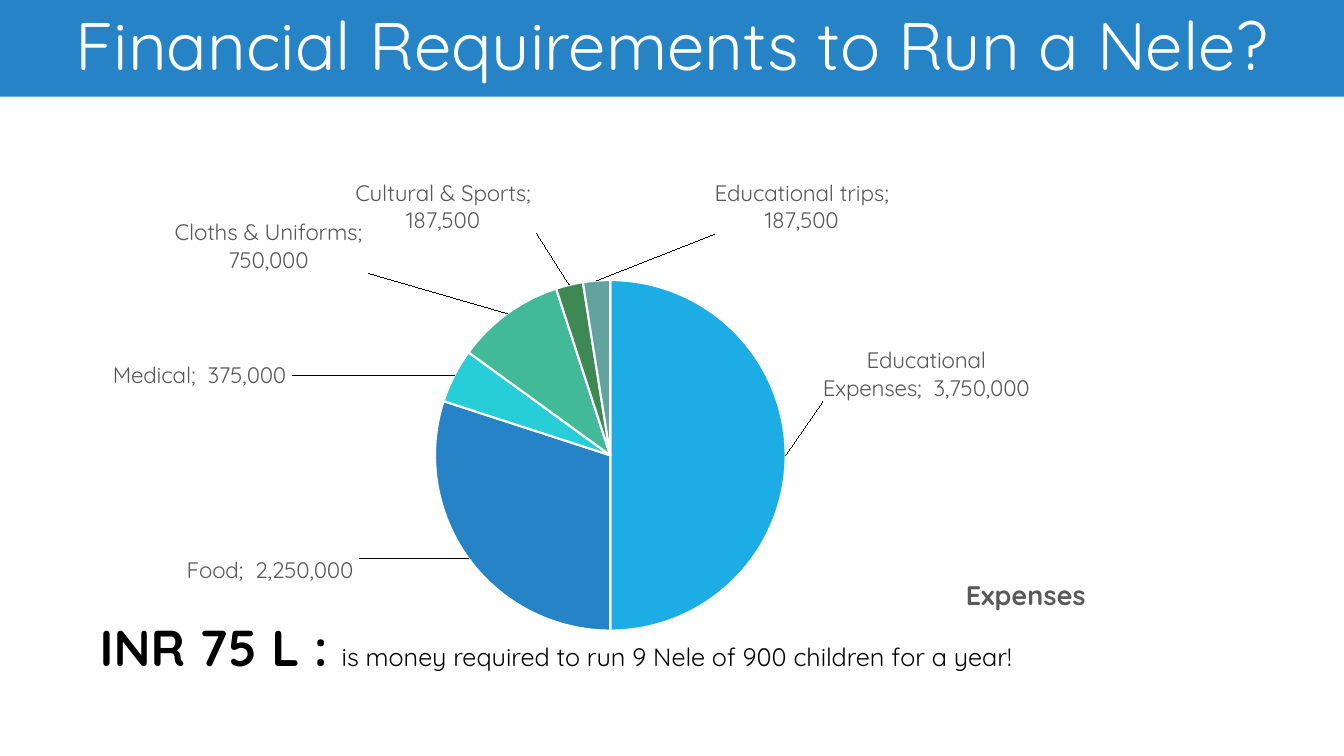
from lxml import etree
from pptx import Presentation
from pptx.chart.data import CategoryChartData
from pptx.dml.color import RGBColor
from pptx.enum.chart import XL_CHART_TYPE, XL_LABEL_POSITION
from pptx.enum.text import MSO_ANCHOR, MSO_AUTO_SIZE, PP_ALIGN
from pptx.oxml.ns import qn
from pptx.util import Inches, Pt

FONT = "Quicksand"
WHITE = RGBColor(0xFF, 0xFF, 0xFF)
BLACK = RGBColor(0x00, 0x00, 0x00)
GREY = RGBColor(0x59, 0x59, 0x59)
BLUE = RGBColor(0x26, 0x83, 0xC6)
SKY = RGBColor(0x1C, 0xAD, 0xE4)
CYAN = RGBColor(0x27, 0xCE, 0xD7)
MINT = RGBColor(0x42, 0xBA, 0x97)
GREEN = RGBColor(0x3E, 0x88, 0x53)
TEAL = RGBColor(0x62, 0xA3, 0x9F)
NUMBER_FORMAT = '_(* #,##0_);_(* \\(#,##0\\);_(* "-"??_);_(@_)'

# Category, amount, slice colour, label shift as a share of the chart size
EXPENSES = [
    ("Educational Expenses", 3750000, SKY, (0.03, -0.16)),
    ("Food", 2250000, BLUE, (-0.1, -0.01)),
    ("Medical", 375000, CYAN, (-0.15, 0.03)),
    ("Cloths & Uniforms", 750000, MINT, (-0.13, -0.07)),
    ("Cultural & Sports", 187500, GREEN, (-0.03, -0.09)),
    ("Educational trips", 187500, TEAL, (0.2, -0.08)),
]


def style(font, size, color, bold=False):
    font.name = FONT
    font.size = Pt(size)
    font.bold = bold
    font.color.rgb = color


def manual_layout(**settings):
    """Return a c:layout element holding the given manual settings, in schema order."""
    layout = etree.Element(qn("c:layout"))
    manual = etree.SubElement(layout, qn("c:manualLayout"))
    for name, value in settings.items():
        etree.SubElement(manual, qn(f"c:{name}")).set("val", str(value))
    return layout


deck = Presentation()
deck.slide_width = Inches(13.33)
deck.slide_height = Inches(7.5)
page = deck.slides.add_slide(deck.slide_layouts[5])

# Title band
title = page.shapes.title
title.left, title.top = Inches(0), Inches(0)
title.width, title.height = Inches(13.33), Inches(0.96)
title.fill.solid()
title.fill.fore_color.rgb = BLUE
title.text_frame.auto_size = MSO_AUTO_SIZE.NONE
title.text_frame.vertical_anchor = MSO_ANCHOR.MIDDLE
heading = title.text_frame.paragraphs[0]
heading.alignment = PP_ALIGN.CENTER
heading.line_spacing = 0.9
span = heading.add_run()
span.text = "Financial Requirements to Run a Nele?"
style(span.font, 48, WHITE)

# Expenses pie
data = CategoryChartData(number_format=NUMBER_FORMAT)
data.categories = [name for name, *_ in EXPENSES]
data.add_series("Series 1", [amount for _, amount, *_ in EXPENSES])
chart = page.shapes.add_chart(
    XL_CHART_TYPE.PIE, Inches(0.63), Inches(1.38), Inches(10.35), Inches(5.03), data
).chart
style(chart.font, 16, BLACK)
chart.has_legend = False
chart.has_title = True
caption = chart.chart_title.text_frame.paragraphs[0].add_run()
caption.text = "Expenses"
style(caption.font, 19.2, GREY, bold=True)
chart_title = chart.chart_title._element
for old_layout in chart_title.findall(qn("c:layout")):
    chart_title.remove(old_layout)
chart_title.find(qn("c:tx")).addnext(
    manual_layout(xMode="edge", yMode="edge", x=0.86, y=0.85)
)

plot = chart.plots[0]
plot.vary_by_categories = True
plot_area = plot._element.getparent()
for old_layout in plot_area.findall(qn("c:layout")):
    plot_area.remove(old_layout)
plot_area.insert(0, manual_layout(
    layoutTarget="inner", xMode="edge", yMode="edge", x=0.356, y=0.278, w=0.336, h=0.692
))

series = plot.series[0]
labels = series.data_labels
labels.show_value = True
labels.show_category_name = True
labels.position = XL_LABEL_POSITION.OUTSIDE_END
labels.number_format = NUMBER_FORMAT
labels.number_format_is_linked = False
style(labels.font, 16, GREY)

for index, (_, _, color, (shift_x, shift_y)) in enumerate(EXPENSES):
    point = series.points[index]
    point.format.fill.solid()
    point.format.fill.fore_color.rgb = color
    point.format.line.color.rgb = WHITE
    point.format.line.width = Pt(1.5)
    point.data_label.position = XL_LABEL_POSITION.OUTSIDE_END
    style(point.data_label.font, 16, GREY)

    label = labels._element.findall(qn("c:dLbl"))[index]
    label.find(qn("c:showCatName")).set("val", "1")
    layout = manual_layout(x=shift_x, y=shift_y)
    label.find(qn("c:idx")).addnext(layout)
    number = etree.Element(qn("c:numFmt"), formatCode=NUMBER_FORMAT, sourceLinked="0")
    layout.addnext(number)
    etree.SubElement(label, qn("c:separator")).text = "; "

# Yearly total
box = page.shapes.add_textbox(Inches(0.89), Inches(6.06), Inches(9.42), Inches(0.71))
box.text_frame.word_wrap = False
box.text_frame.auto_size = MSO_AUTO_SIZE.SHAPE_TO_FIT_TEXT
para = box.text_frame.paragraphs[0]
for text, size, bold in [
    ("INR 75 L : ", 36, True),
    ("is money required to run 9 Nele of 900 children for a year!", 18, False),
]:
    span = para.add_run()
    span.text = text
    style(span.font, size, BLACK, bold)

deck.save("out.pptx")
